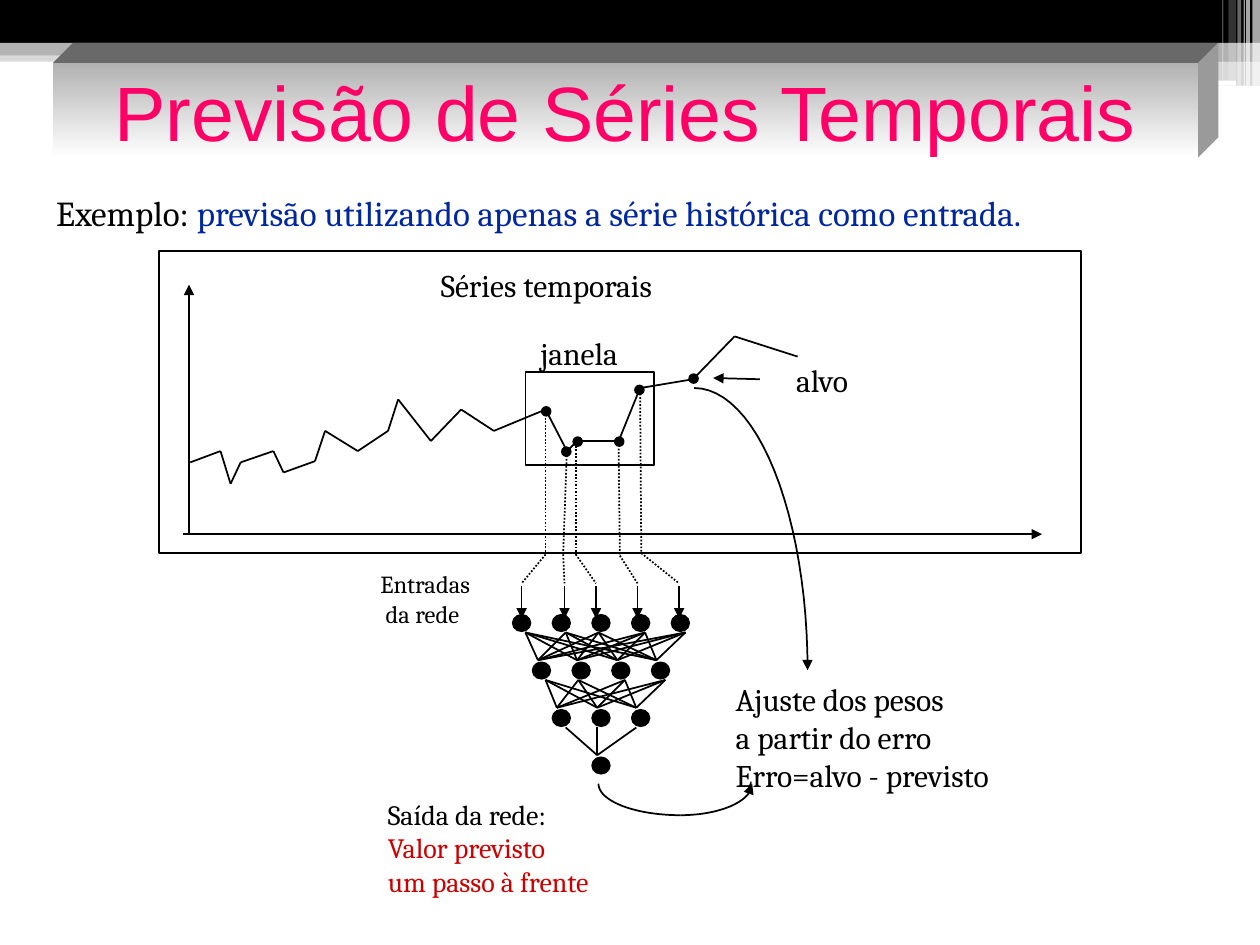
"""Build a slide on time-series forecasting with a neural network."""
from dataclasses import dataclass
from itertools import pairwise, product
from math import cos, radians, sin

from lxml.etree import SubElement
from pptx import Presentation
from pptx.dml.color import RGBColor
from pptx.enum.dml import MSO_LINE
from pptx.enum.shapes import MSO_CONNECTOR, MSO_SHAPE as SHP
from pptx.enum.text import MSO_ANCHOR, MSO_AUTO_SIZE, PP_ALIGN
from pptx.oxml.ns import qn
from pptx.util import Inches, Pt

Point = tuple[float, float]
BLACK, WHITE, GREY, BLUE, RED = "000000", "FFFFFF", "B2B2B2", "00279F", "CC0000"


@dataclass
class Band:
    x: float
    y: float
    w: float
    h: float
    color: str
    opacity: int = 100
    kind: SHP = SHP.RECTANGLE


@dataclass
class Drop:
    start: Point
    knee: Point
    end_x: float


@dataclass
class Layer:
    count: int
    tops: tuple[float, ...] = ()
    bottoms: tuple[float, ...] = ()


@dataclass
class Run:
    text: str
    size: float
    color: str = BLACK
    font: str = "Cambria"


@dataclass
class Label:
    x: float
    y: float
    w: float
    h: float
    paragraphs: list[list[Run]]
    wrap: bool = False
    spacing: float = 1.0


BANDS = [
    Band(0, 0.4, 10, 0.09, GREY, 50),
    Band(0, 0, 10, 0.34, BLACK),
    Band(0, 0.34, 10, 0.1, GREY),
    Band(5.92, 0.39, 4.08, 0.1, GREY),
    Band(5.92, 0.48, 4.08, 0.2, GREY, 50),
    Band(5.91, 0.54, 3.35, 0.03, WHITE, kind=SHP.ROUNDED_RECTANGLE),
    Band(8.06, 0.64, 1.75, 0.04, WHITE, kind=SHP.ROUNDED_RECTANGLE),
    Band(9.94, 0, 0.06, 0.68, WHITE, 65),
    Band(9.89, 0, 0.03, 0.68, WHITE, 65),
    Band(9.87, 0, 0.01, 0.68, WHITE, 60),
    Band(9.82, 0, 0.03, 0.68, WHITE, 40),
    Band(9.75, 0, 0.06, 0.64, WHITE, 20),
    Band(9.7, 0, 0.01, 0.64, WHITE, 30),
]
SERIES = [
    (1.51, 3.67), (1.75, 3.58), (1.83, 3.84), (1.91, 3.67), (2.17, 3.58),
    (2.25, 3.75), (2.5, 3.66), (2.58, 3.42), (2.84, 3.58), (3.08, 3.42),
    (3.16, 3.17), (3.42, 3.5), (3.66, 3.25), (3.92, 3.42), (4.33, 3.25),
    (4.5, 3.58), (4.58, 3.5), (4.91, 3.5), (5.08, 3.08), (5.5, 3.01),
    (5.83, 2.67), (6.33, 2.83),
]
DOTS = [(4.33, 3.26), (4.49, 3.58), (4.58, 3.5), (4.91, 3.5), (5.07, 3.09), (5.5, 3)]
DROPS = [
    Drop((4.33, 3.29), (4.33, 4.4), 4.14),
    Drop((4.5, 3.56), (4.47, 4.4), 4.48),
    Drop((4.57, 3.54), (4.57, 4.4), 4.73),
    Drop((4.91, 3.56), (4.92, 4.41), 5.06),
    Drop((5.08, 3.07), (5.09, 4.39), 5.39),
]
LAYERS = [
    Layer(5, (4.17, 4.49, 4.75, 5.12, 5.44), (4.27, 4.58, 4.9, 5.21)),
    Layer(4, (4.33, 4.59, 4.96, 5.28), (4.42, 4.74, 5.05)),
    Layer(3, (4.49, 4.74, 5.05), (4.74,)),
    Layer(1),
]
LABELS = [
    Label(3.4, 2.06, 2.21, 0.4, [[Run("Séries temporais", 18)]]),
    Label(4.19, 2.6, 0.86, 0.4, [[Run("janela", 18)]]),
    Label(6.22, 2.82, 0.7, 0.4, [[Run("alvo", 18)]]),
    Label(2.92, 4.47, 1.03, 0.56, [[Run("Entradas", 14)], [Run(" da rede", 14)]]),
    Label(5.74, 5.35, 2.55, 1, [[Run("Ajuste dos pesos", 18)], [Run("a partir do erro", 18)],
                                [Run("Erro=alvo - previsto", 18)]], True),
    Label(2.98, 6.28, 2.1, 0.9, [[Run("Saída da rede:", 16)], [Run("Valor previsto", 16, RED)],
                                 [Run("um passo à frente", 16, RED)]]),
    Label(0.25, 1.17, 9.42, 0.75, [[
        Run(" ", 28, BLUE, "Times New Roman"), Run("Exemplo:", 20),
        Run(" previsão utilizando apenas a série histórica como entrada.", 20, BLUE)]], True, 1.4),
]


def paint(target, color: str) -> None:
    """Give a fill a solid colour."""
    target.solid()
    target.fore_color.rgb = RGBColor.from_string(color)


def stroke(sp, arrow: bool = False, dotted: bool = False) -> None:
    """Draw a black one-point line, with an arrowhead at its end if asked."""
    paint(sp.line.fill, BLACK)
    sp.line.width = Pt(1)
    if dotted:
        sp.line.dash_style = MSO_LINE.ROUND_DOT
    if arrow:
        SubElement(sp.element.spPr.find(qn("a:ln")), qn("a:tailEnd"), type="triangle")


def add_shape(s, kind: SHP, x: float, y: float, w: float, h: float,
              color: str | None = None, outlined: bool = True, opacity: int = 100) -> None:
    """Add a preset shape."""
    sp = s.shapes.add_shape(kind, *map(Inches, (x, y, w, h)))
    sp.shadow.inherit = False
    if color:
        paint(sp.fill, color)
    else:
        sp.fill.background()
    if opacity < 100:
        clr = next(sp.element.spPr.iter(qn("a:srgbClr")))
        SubElement(clr, qn("a:alpha"), val=str(opacity * 1000))
    if outlined:
        stroke(sp)
    else:
        sp.line.fill.background()


def add_line(s, a: Point, b: Point, arrow: bool = False, dotted: bool = False) -> None:
    """Connect two points."""
    c = s.shapes.add_connector(MSO_CONNECTOR.STRAIGHT, *map(Inches, (*a, *b)))
    stroke(c, arrow, dotted)
    SubElement(c.element.spPr, qn("a:effectLst"))


def add_outline(s, points: list[Point], color: str | None = None, arrow: bool = False) -> None:
    """Add a filled polygon, or an open curve when no colour is given."""
    pts = [(Inches(x), Inches(y)) for x, y in points]
    fb = s.shapes.build_freeform(*pts[0])
    fb.add_line_segments(pts[1:], close=bool(color))
    sp = fb.convert_to_shape()
    sp.shadow.inherit = False
    if color:
        paint(sp.fill, color)
        sp.line.fill.background()
    else:
        sp.fill.background()
        stroke(sp, arrow)


def add_arc(s, cx: float, cy: float, rx: float, ry: float, start: int, end: int,
            arrow: bool = False) -> None:
    """Add part of an ellipse between two angles."""
    angles = [radians(start + (end - start) * i / 24) for i in range(25)]
    add_outline(s, [(cx + rx * cos(t), cy + ry * sin(t)) for t in angles], arrow=arrow)


def write(p, runs: list[Run]) -> None:
    """Fill a paragraph with formatted runs."""
    for run in runs:
        r = p.add_run()
        r.text = run.text
        r.font.size, r.font.name = Pt(run.size), run.font
        paint(r.font.fill, run.color)


def add_label(s, label: Label) -> None:
    """Add a text box."""
    tf = s.shapes.add_textbox(*map(Inches, (label.x, label.y, label.w, label.h))).text_frame
    tf.word_wrap = label.wrap
    for i, runs in enumerate(label.paragraphs):
        p = tf.add_paragraph() if i else tf.paragraphs[0]
        p.line_spacing = label.spacing
        write(p, runs)


def add_title(s) -> None:
    """Format the title as the front face of a raised block."""
    x, y, w, h, depth = 0.42, 0.5, 9.09, 0.75, 0.16
    right, back = x + w, y - depth
    add_outline(s, [(x, y), (x + depth, back), (right + depth, back), (right, y)], "696969")
    add_outline(s, [(right, y), (right + depth, back), (right + depth, back + h),
                    (right, y + h)], "9A9A9A")
    sp = s.shapes.title
    sp.left, sp.top, sp.width, sp.height = map(Inches, (x, y, w, h))
    sp.fill.gradient()
    sp.fill.gradient_angle = 270
    for stop, color in zip(sp.fill.gradient_stops, (GREY, WHITE)):
        stop.color.rgb = RGBColor.from_string(color)
    tf = sp.text_frame
    tf.auto_size, tf.vertical_anchor = MSO_AUTO_SIZE.NONE, MSO_ANCHOR.MIDDLE
    tf.paragraphs[0].alignment = PP_ALIGN.CENTER
    write(tf.paragraphs[0], [Run("Previsão de Séries Temporais", 44, "FF0066", "Arial")])
    sp.element.getparent().append(sp.element)


def add_plot(s) -> None:
    """Draw the framed series with its axes, window and target."""
    add_shape(s, SHP.RECTANGLE, 1.26, 1.99, 7.32, 2.4)
    add_shape(s, SHP.RECTANGLE, 4.17, 2.95, 1.02, 0.74)
    for a, b in (((1.5, 4.24), (1.5, 2.26)), ((1.45, 4.24), (8.27, 4.24)),
                 ((6.03, 3.01), (5.66, 3))):
        add_line(s, a, b, arrow=True)
    for a, b in pairwise(SERIES):
        add_line(s, a, b)
    for x, y in DOTS:
        add_shape(s, SHP.OVAL, x - 0.03, y - 0.03, 0.07, 0.07, BLACK)


def add_network(s) -> None:
    """Draw the inputs, the layers and their links."""
    for d in DROPS:
        add_line(s, d.start, d.knee, dotted=True)
        add_line(s, d.knee, (d.end_x, 4.63), dotted=True)
        add_line(s, (d.end_x, 4.65), (d.end_x, 4.91), arrow=True)
    for row, layer in enumerate(LAYERS):
        y = 4.88 + 0.377 * row
        for col in range(layer.count):
            x = 4.07 + 0.315 * (col + (5 - layer.count) / 2)
            add_shape(s, SHP.OVAL, x, y, 0.14, 0.13, BLACK)
        for top, bottom in product(layer.tops, layer.bottoms):
            add_line(s, (top, y + 0.14), (bottom, y + 0.36))


def main() -> None:
    """Build and save the slide."""
    prs = Presentation()
    prs.slide_width, prs.slide_height = Inches(10), Inches(7.5)
    s = prs.slides.add_slide(prs.slide_layouts[5])
    for b in BANDS:
        add_shape(s, b.kind, b.x, b.y, b.w, b.h, b.color, False, b.opacity)
    add_plot(s)
    add_network(s)
    add_arc(s, 5.51, 5.32, 0.9, 2.24, -90, 0, arrow=True)
    add_arc(s, 5.4, 6.22, 0.65, 0.25, 180, 90)
    add_arc(s, 5.4, 6.22, 0.57, 0.25, 90, 0, arrow=True)
    for label in LABELS:
        add_label(s, label)
    add_title(s)
    prs.save("out.pptx")


main()
